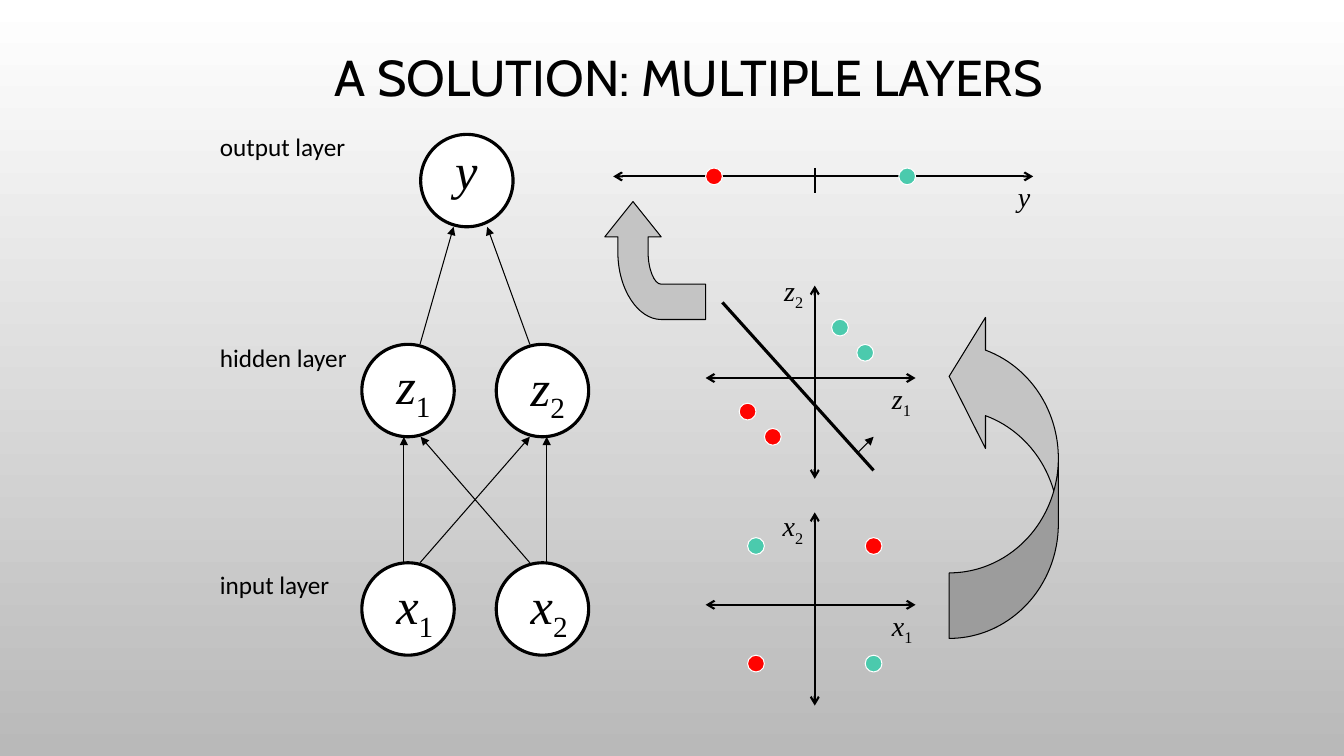
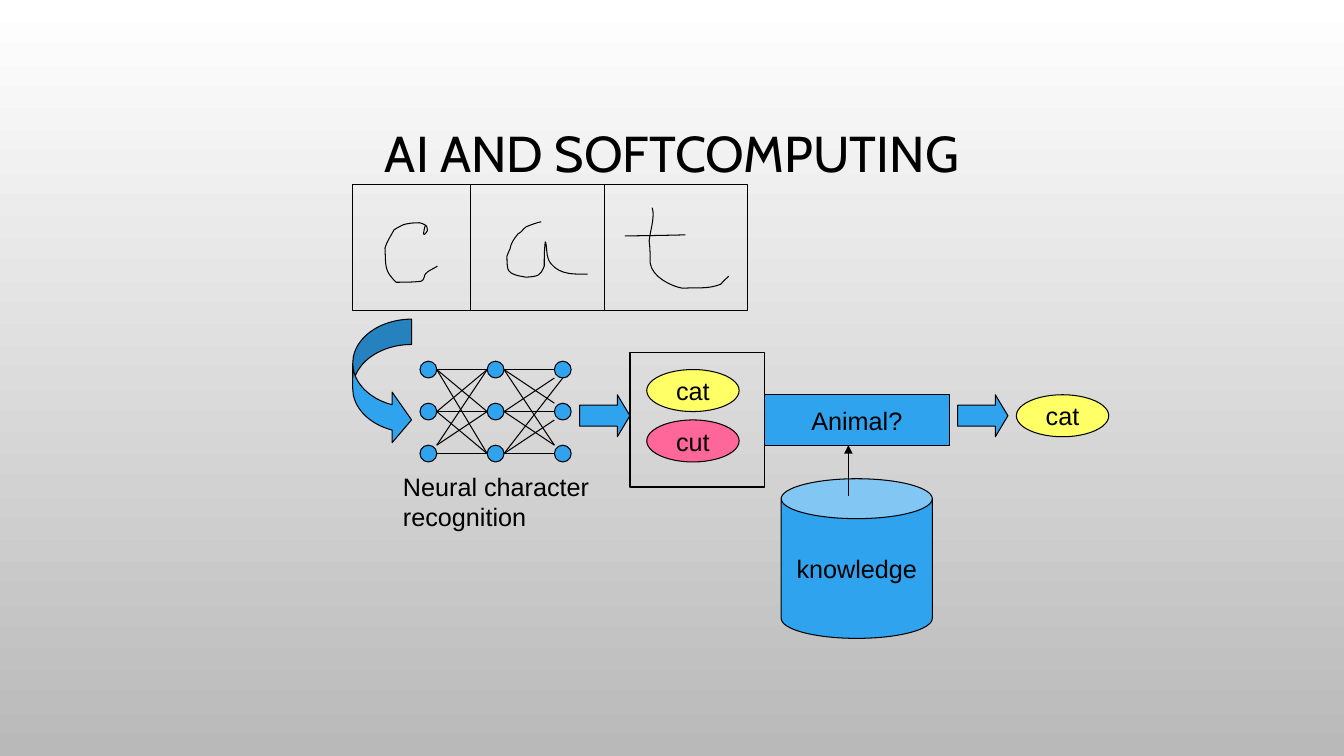
from dataclasses import dataclass
from itertools import product
from typing import Optional

from lxml.etree import SubElement
from pptx import Presentation
from pptx.dml.color import RGBColor
from pptx.enum.shapes import MSO_CONNECTOR, MSO_SHAPE as Preset
from pptx.enum.text import MSO_ANCHOR as Anchor, PP_ALIGN as Align
from pptx.oxml.ns import qn
from pptx.util import Pt

BLACK = RGBColor(0x00, 0x00, 0x00)
WHITE = RGBColor(0xFF, 0xFF, 0xFF)
BACKDROP_GRAY = RGBColor(0xB9, 0xB9, 0xB9)
ARROW_GRAY = RGBColor(0xC4, 0xC4, 0xC4)
RED = RGBColor(0xFF, 0x03, 0x00)
TEAL = RGBColor(0x4B, 0xCA, 0xAD)
BLUE = RGBColor(0x2F, 0xA3, 0xEE)
YELLOW = RGBColor(0xFF, 0xFF, 0x66)
PINK = RGBColor(0xFF, 0x66, 0x99)

TITLE_FONT, LABEL_FONT, MATH_FONT, BODY_FONT = "Cabin", "Calibri", "Times New Roman", "Arial"
THIN = 0.75
DOT = 12
NEURON = 66
STROKE_UNIT = 0.72  # points per unit of the freeform coordinates


@dataclass(frozen=True)
class Box:
    left: float
    top: float
    width: float
    height: float

    def lengths(self) -> tuple:
        return Pt(self.left), Pt(self.top), Pt(self.width), Pt(self.height)


@dataclass(frozen=True)
class Neuron:
    left: float
    top: float
    letter: str
    index: str
    letter_left: float
    letter_top: float


@dataclass(frozen=True)
class Plot:
    letter: str
    axis_y: float
    upper_label_left: float
    upper_label_top: float
    red: tuple
    teal: tuple


@dataclass(frozen=True)
class Synapses:
    """Lines of one neuron: heights where they start and end, and extra length of the first."""
    starts: tuple
    ends: tuple
    first_reach: float = 0


@dataclass(frozen=True)
class Block:
    preset: Preset
    box: Box
    fill: Optional[RGBColor]
    text: str = ""
    adjustments: tuple = ()
    weight: float = THIN


NEURONS = (
    Neuron(300.5, 96, "y", "", 318, 96),
    Neuron(258.5, 246, "z", "1", 276, 249.5),
    Neuron(354.5, 246, "z", "2", 372, 250.5),
    Neuron(258.5, 402, "x", "1", 276, 406.5),
    Neuron(354.5, 402, "x", "2", 372, 406.5),
)
WEIGHTS = (
    ((300, 246), (324, 162)), ((378.5, 246), (348, 162)),
    ((288.5, 402), (288.5, 312)), ((390.5, 402), (390.5, 312)),
    ((300, 402), (378.5, 312)), ((378.5, 402), (300.5, 312)),
)
LAYER_TOPS = {"output layer": 90, "hidden layer": 241, "input layer": 403}
PLOTS = (
    Plot("z", 270, 553, 192, ((534, 294), (552, 312)), ((600, 234), (618, 252))),
    Plot("x", 432, 552, 360, ((624, 390), (540, 474)), ((540, 390), (624, 474))),
)
AXIS_X = 582
OUTPUT_Y = 126
BENT_ARROW = (
    (628, 200), (600, 235), (613, 235), (613, 250), (613, 287, 633, 317, 656, 317),
    (700, 317), (700, 282), (656, 282), (649, 282, 643, 267, 643, 250),
    (643, 235), (656, 235),
)

# A pair of numbers is a straight step, six numbers are a cubic curve.
HANDWRITING = (
    ((422, 224), (421, 226, 418, 239, 424, 229), (424, 227, 424, 225, 423, 224),
     (421, 222, 416, 221, 416, 221), (414, 221, 403, 221, 398, 224),
     (396, 225, 391, 228, 391, 228), (388, 234, 384, 239, 382, 246),
     (383, 265, 381, 268, 393, 280), (401, 280, 410, 280, 418, 279),
     (421, 278, 421, 273, 422, 272), (425, 268, 430, 267, 434, 264)),
    ((537, 220), (532, 221, 527, 223, 522, 225), (518, 228, 518, 230, 514, 232),
     (510, 237, 507, 241, 506, 247), (505, 249, 503, 254, 503, 254),
     (503, 259, 503, 263, 504, 267), (506, 273, 517, 274, 522, 275),
     (534, 274, 536, 274, 540, 264), (540, 256, 540, 248, 541, 240),
     (541, 239, 542, 242, 542, 244), (543, 251, 542, 256, 547, 262),
     (556, 273, 571, 272, 583, 272)),
    ((647, 206), (650, 215, 645, 229, 644, 239), (645, 246, 645, 254, 645, 261),
     (647, 275, 666, 284, 677, 286), (694, 285, 702, 287, 715, 282),
     (717, 279, 720, 277, 723, 274)),
    ((620, 234), (640, 234, 680, 233, 680, 233)),
)
NET_COLUMNS = (306, 354, 402)
NET_ROWS = (264, 294, 324)
SYNAPSES = (
    (Synapses((264, 264, 264), NET_ROWS), Synapses((294, 294, 294), NET_ROWS),
     Synapses((318, 318, 324), NET_ROWS)),
    (Synapses((264, 264, 264), (264, 288, 318)), Synapses((294, 294, 294), (270, 294, 318)),
     Synapses((324, 324, 324), (270, 300, 324), first_reach=6)),
)
STEP_ARROW = (0.5, 0.3)
CANDIDATES = Block(Preset.RECTANGLE, Box(450, 252, 96, 96), None, weight=1)
PIPELINE = (
    Block(Preset.CURVED_RIGHT_ARROW, Box(252, 228, 42, 90), BLUE, "", (0.43, 0.86, 0.33)),
    Block(Preset.RIGHT_ARROW, Box(414, 282, 36, 30), BLUE, "", STEP_ARROW),
    Block(Preset.OVAL, Box(462, 264, 66, 30), YELLOW, "cat"),
    Block(Preset.OVAL, Box(462, 300, 66, 30), PINK, "cut"),
    Block(Preset.CAN, Box(558, 342, 108, 114), BLUE, "knowledge", (0.264,)),
    Block(Preset.RECTANGLE, Box(546, 282, 132, 36), BLUE, "Animal?"),
    Block(Preset.OVAL, Box(726, 282, 66, 30), YELLOW, "cat"),
    Block(Preset.RIGHT_ARROW, Box(684, 282, 36, 30), BLUE, "", STEP_ARROW),
)


def style_font(paragraph, name: str, size: float) -> None:
    font = paragraph.font
    font.name, font.size, font.color.rgb = name, Pt(size), BLACK


def paint(shape, fill: Optional[RGBColor], line: RGBColor = BLACK, weight: float = THIN) -> None:
    shape.shadow.inherit = False
    if fill is None:
        shape.fill.background()
    else:
        shape.fill.solid()
        shape.fill.fore_color.rgb = fill
    shape.line.color.rgb = line
    shape.line.width = Pt(weight)


def add_block(slide, block: Block, line: RGBColor = BLACK):
    shape = slide.shapes.add_shape(block.preset, *block.box.lengths())
    paint(shape, block.fill, line, block.weight)
    for position, value in enumerate(block.adjustments):
        shape.adjustments[position] = value
    if block.text:
        frame = shape.text_frame
        frame.word_wrap, frame.vertical_anchor = False, Anchor.MIDDLE
        paragraph = frame.paragraphs[0]
        paragraph.text, paragraph.alignment = block.text, Align.CENTER
        style_font(paragraph, BODY_FONT, 18)
    return shape


def add_dot(slide, center: tuple, fill: RGBColor, line: RGBColor) -> None:
    x, y = center
    add_block(slide, Block(Preset.OVAL, Box(x - DOT / 2, y - DOT / 2, DOT, DOT), fill), line)


def add_line(slide, start: tuple, end: tuple, weight: float = THIN,
             head: str = "", tail: str = "") -> None:
    """Draw a straight line; head is the arrow type at the start, tail at the end."""
    line = slide.shapes.add_connector(
        MSO_CONNECTOR.STRAIGHT, *(Pt(length) for length in start + end))
    line.line.color.rgb = BLACK
    line.line.width = Pt(weight)
    outline = line.line._get_or_add_ln()
    for tag, arrow in (("a:headEnd", head), ("a:tailEnd", tail)):
        if arrow:
            SubElement(outline, qn(tag)).set("type", arrow)
    SubElement(line._element.spPr, qn("a:effectLst"))


def add_freeform(slide, steps: tuple, fill: Optional[RGBColor] = None, close: bool = False) -> None:
    """Lay out all points as straight segments, then merge each curve's three into a cubic."""
    points = [step[i:i + 2] for step in steps for i in range(0, len(step), 2)]
    builder = slide.shapes.build_freeform(*points[0], scale=Pt(STROKE_UNIT))
    builder.add_line_segments(points[1:], close=close)
    shape = builder.convert_to_shape()
    paint(shape, fill)
    segments = iter(list(shape._element.iter(qn("a:lnTo"))))
    for step in steps[1:]:
        first, *others = [next(segments) for _ in range(len(step) // 2)]
        if others:
            outline = first.getparent()
            curve = SubElement(outline, qn("a:cubicBezTo"))
            outline.replace(first, curve)
            for segment in (first, *others):
                curve.append(segment[0])
            for segment in others:
                outline.remove(segment)


def add_text(slide, box: Box, lines: tuple, font: str, size: float) -> None:
    frame = slide.shapes.add_textbox(*box.lengths()).text_frame
    frame.word_wrap = True
    for position, line in enumerate(lines):
        paragraph = frame.add_paragraph() if position else frame.paragraphs[0]
        paragraph.text = line
        style_font(paragraph, font, size)


def add_variable(slide, left: float, top: float, letter: str, index: str, size: float) -> None:
    """Write an italic letter with an upright subscript."""
    width = size * (0.85 if index else 0.5) + 14.4
    frame = slide.shapes.add_textbox(*Box(left, top, width, size * 1.2 + 7.2).lengths()).text_frame
    frame.word_wrap = True
    paragraph = frame.paragraphs[0]
    style_font(paragraph, MATH_FONT, size)
    symbol = paragraph.add_run()
    symbol.text, symbol.font.italic = letter, True
    if index:
        subscript = paragraph.add_run()
        subscript.text = index
        subscript._r.get_or_add_rPr().set("baseline", "-25000")


def add_titled_slide(deck, title: str, box: Box):
    slide = deck.slides.add_slide(deck.slide_layouts[5])
    holder = slide.shapes.title
    holder.left, holder.top, holder.width, holder.height = box.lengths()
    holder.text_frame.vertical_anchor = Anchor.MIDDLE
    paragraph = holder.text_frame.paragraphs[0]
    paragraph.text, paragraph.alignment, paragraph.line_spacing = title, Align.CENTER, 0.9
    style_font(paragraph, TITLE_FONT, 36)
    return slide


def add_plot(slide, plot: Plot) -> None:
    y = plot.axis_y
    for start, end in (((AXIS_X, y - 66), (AXIS_X, y + 72)), ((504, y), (654, y))):
        add_line(slide, start, end, 1.5, "arrow", "arrow")
    add_variable(slide, 630, y - 1, plot.letter, "1", 20)
    add_variable(slide, plot.upper_label_left, plot.upper_label_top, plot.letter, "2", 20)
    for centers, color in ((plot.red, RED), (plot.teal, TEAL)):
        for center in centers:
            add_dot(slide, center, color, WHITE)


def build_layers_slide(deck) -> None:
    slide = add_titled_slide(deck, "A SOLUTION: MULTIPLE LAYERS", Box(174, 12, 636, 90))
    for neuron in NEURONS:
        circle = Box(neuron.left, neuron.top, NEURON, NEURON)
        add_block(slide, Block(Preset.OVAL, circle, WHITE, weight=2.25))
        add_variable(slide, neuron.letter_left, neuron.letter_top, neuron.letter, neuron.index, 36)
    for start, end in WEIGHTS:
        add_line(slide, start, end, tail="triangle")
    for layer, top in LAYER_TOPS.items():
        add_text(slide, Box(150, top, 120, 29), (layer,), LABEL_FONT, 18)

    add_freeform(slide, BENT_ARROW, ARROW_GRAY, close=True)
    remap_arrow = add_block(slide, Block(
        Preset.CURVED_LEFT_ARROW, Box(678, 222, 78, 234), ARROW_GRAY, "", (0.6, 1.2, 0.333)))
    remap_arrow.rotation = 180
    remap_arrow._element.spPr.xfrm.set("flipH", "1")

    add_line(slide, (516, 216), (624, 336), 2.25)
    add_line(slide, (612, 324), (624, 312), tail="triangle")
    for plot in PLOTS:
        add_plot(slide, plot)
    add_line(slide, (438, OUTPUT_Y), (738, OUTPUT_Y), 1.5, "arrow", "arrow")
    add_line(slide, (AXIS_X, 120), (AXIS_X, 138), 1.5)
    add_variable(slide, 720, OUTPUT_Y - 1.5, "y", "", 20)
    add_dot(slide, (510, OUTPUT_Y), RED, WHITE)
    add_dot(slide, (648, OUTPUT_Y), TEAL, WHITE)


def build_softcomputing_slide(deck) -> None:
    slide = add_titled_slide(deck, "AI AND SOFTCOMPUTING", Box(72, 48.5, 816, 126))
    add_block(slide, CANDIDATES)
    add_block(slide, Block(Preset.RECTANGLE, Box(252, 132, 282, 90), None))
    for stroke in HANDWRITING:
        add_freeform(slide, stroke)
    for divider_x in (336, 432):
        add_line(slide, (divider_x, 132), (divider_x, 222))
    for center in product(NET_COLUMNS, NET_ROWS):
        add_dot(slide, center, BLUE, BLACK)
    for left, right, neurons in zip(NET_COLUMNS, NET_COLUMNS[1:], SYNAPSES):
        for neuron in neurons:
            reaches = (neuron.first_reach, 0, 0)
            for start_y, end_y, reach in zip(neuron.starts, neuron.ends, reaches):
                add_line(slide, (left + DOT / 2, start_y), (right - DOT / 2 + reach, end_y))
    for block in PIPELINE:
        add_block(slide, block)
    add_line(slide, (606, 354), (606, 318), tail="triangle")
    add_text(slide, Box(280.75, 333, 149, 50), ("Neural character", "recognition"), BODY_FONT, 18)


def main() -> None:
    deck = Presentation()
    deck.slide_width, deck.slide_height = Pt(960), Pt(540)
    backdrop = deck.slide_master.background.fill
    backdrop.gradient()
    backdrop.gradient_angle = 270
    for stop, color in zip(backdrop.gradient_stops, (WHITE, BACKDROP_GRAY)):
        stop.color.rgb = color
    build_layers_slide(deck)
    build_softcomputing_slide(deck)
    deck.save("out.pptx")


if __name__ == "__main__":
    main()
